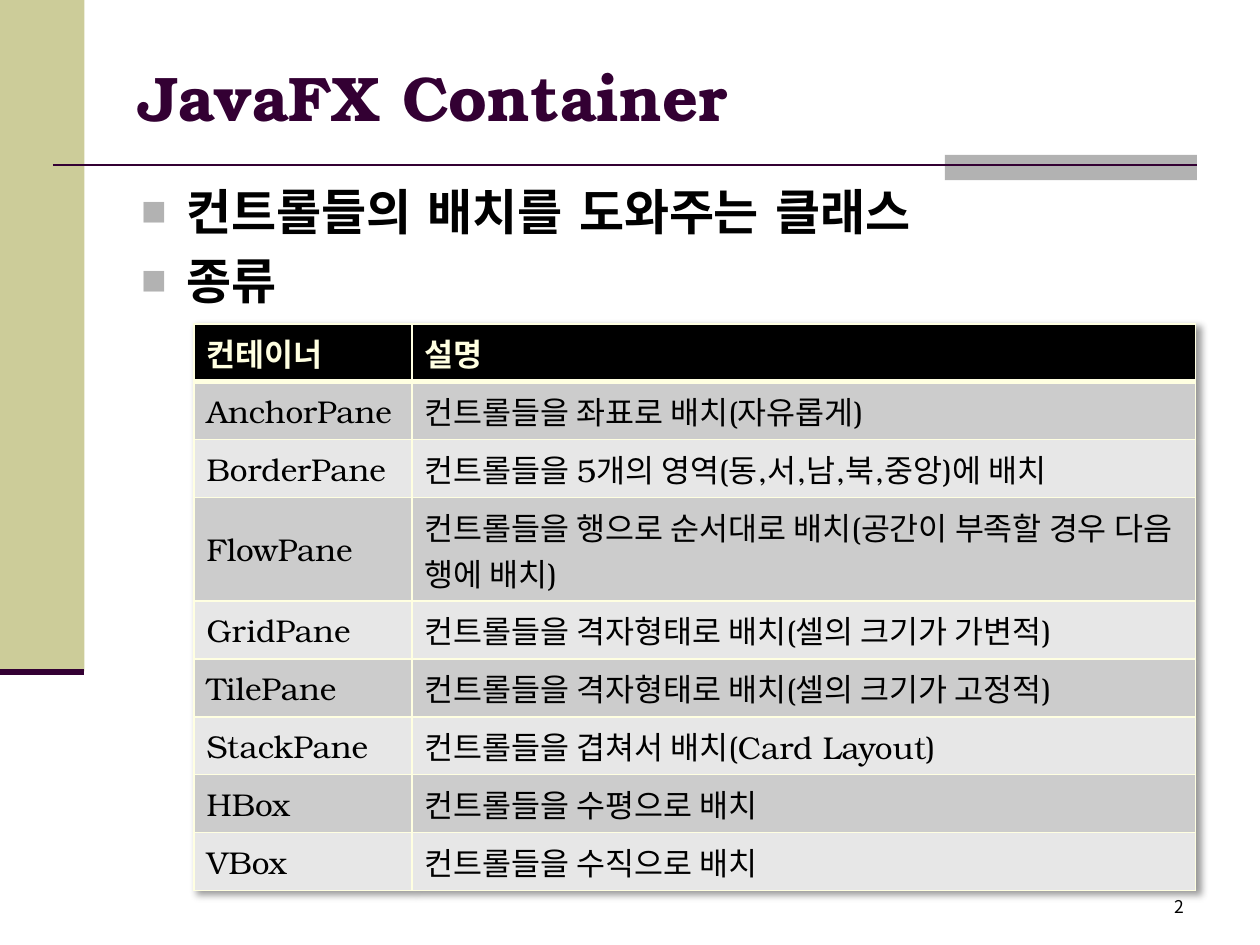
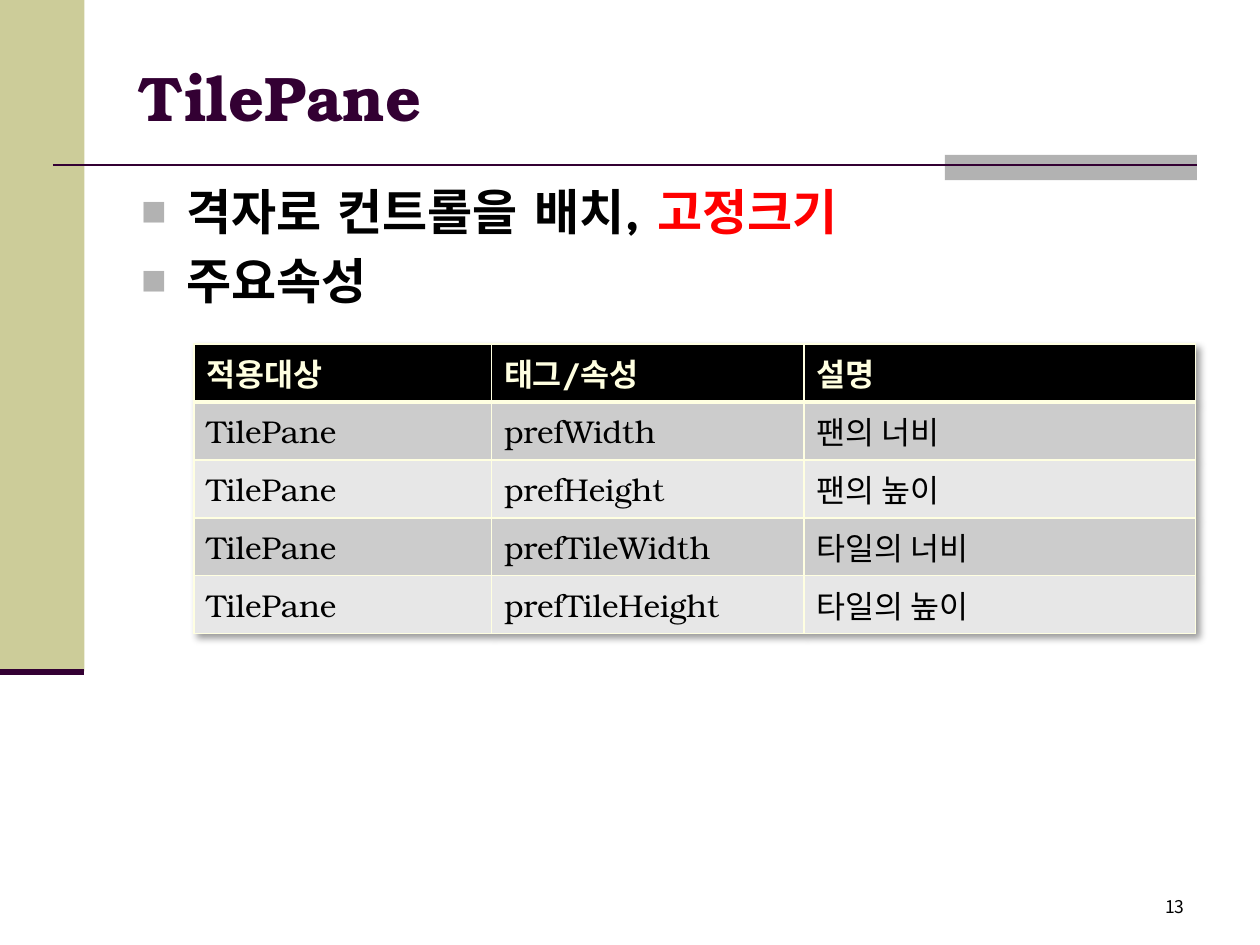
from lxml import etree
from pptx import Presentation
from pptx.dml.color import RGBColor
from pptx.enum.shapes import MSO_CONNECTOR, MSO_SHAPE
from pptx.enum.text import MSO_ANCHOR, MSO_AUTO_SIZE, PP_ALIGN
from pptx.oxml.ns import qn
from pptx.util import Inches, Pt

RECTANGLE = MSO_SHAPE.RECTANGLE
STRAIGHT = MSO_CONNECTOR.STRAIGHT
MIDDLE = MSO_ANCHOR.MIDDLE
NO_FIT = MSO_AUTO_SIZE.NONE
LEFT, RIGHT = PP_ALIGN.LEFT, PP_ALIGN.RIGHT

PLUM = RGBColor(0x33, 0x00, 0x33)
KHAKI = RGBColor(0xCC, 0xCC, 0x99)
GRAY = RGBColor(0xB2, 0xB2, 0xB2)
CREAM = RGBColor(0xFF, 0xFF, 0xE1)
DARK_ROW = RGBColor(0xCC, 0xCC, 0xCC)
LIGHT_ROW = RGBColor(0xE7, 0xE7, 0xE7)
BLACK = RGBColor(0x00, 0x00, 0x00)
RED = RGBColor(0xFF, 0x00, 0x00)

SERIF = "TeX Gyre Bonum"
SANS = "Noto Sans CJK KR"

TABLE_LEFT = 1.54
ROW_HEIGHT = 0.46
TWO_LINE_HEIGHT = 0.82

CONTAINERS = [
    ("컨테이너", "설명"),
    ("AnchorPane", "컨트롤들을 좌표로 배치(자유롭게)"),
    ("BorderPane", "컨트롤들을 5개의 영역(동,서,남,북,중앙)에 배치"),
    ("FlowPane", "컨트롤들을 행으로 순서대로 배치(공간이 부족할 경우 다음 행에 배치)"),
    ("GridPane", "컨트롤들을 격자형태로 배치(셀의 크기가 가변적)"),
    ("TilePane", "컨트롤들을 격자형태로 배치(셀의 크기가 고정적)"),
    ("StackPane", "컨트롤들을 겹쳐서 배치(Card Layout)"),
    ("HBox", "컨트롤들을 수평으로 배치"),
    ("VBox", "컨트롤들을 수직으로 배치"),
]
FLOW_PANE_ROW = 3
TILE_PROPERTIES = [
    ("적용대상", "태그/속성", "설명"),
    ("TilePane", "prefWidth", "팬의 너비"),
    ("TilePane", "prefHeight", "팬의 높이"),
    ("TilePane", "prefTileWidth", "타일의 너비"),
    ("TilePane", "prefTileHeight", "타일의 높이"),
]


def add_node(parent, tag, **attributes):
    return etree.SubElement(parent, qn(tag), **attributes)


def style_para(para, size, color, bold=False, font=SERIF, asian=SANS):
    para.font.name = font
    para.font.size = Pt(size)
    para.font.bold = bold
    para.font.color.rgb = color
    add_node(para.font._element, "a:ea", typeface=asian)


def place(shape, left, top, width, height):
    shape.left, shape.top = Inches(left), Inches(top)
    shape.width, shape.height = Inches(width), Inches(height)


def add_band(page, left, top, width, height, color):
    band = page.shapes.add_shape(RECTANGLE, Inches(left), Inches(top),
                                 Inches(width), Inches(height))
    band.shadow.inherit = False
    band.fill.solid()
    band.fill.fore_color.rgb = color
    band.line.fill.background()


def add_rule(page, left, right, y, weight):
    rule = page.shapes.add_connector(STRAIGHT, Inches(left), Inches(y),
                                     Inches(right), Inches(y))
    rule.line.color.rgb = PLUM
    rule.line.width = Pt(weight)
    add_node(rule._element.spPr, "a:effectLst")


def add_bullet(para):
    properties = para._p.get_or_add_pPr()
    properties.set("marL", str(Inches(0.38)))
    properties.set("indent", str(-Inches(0.38)))
    color = etree.Element(qn("a:buClr"))
    add_node(color, "a:srgbClr", val=str(GRAY))
    size = etree.Element(qn("a:buSzPct"), val="90000")
    font = etree.Element(qn("a:buFont"), typeface=SERIF)
    mark = etree.Element(qn("a:buChar"), char="■")
    defaults = properties.find(qn("a:defRPr"))
    for node in (color, size, font, mark):
        defaults.addprevious(node)


def add_page(deck, title, bullets, number):
    """Each bullet is a list of (text, color) spans."""
    page = deck.slides.add_slide(deck.slide_layouts[1])
    heading, body = page.placeholders

    # Side band, title rule and its accent
    add_band(page, 0, 0, 0.67, 5.33, KHAKI)
    add_band(page, 7.5, 1.23, 2, 0.2, GRAY)
    add_rule(page, 0.42, 9.5, 1.31, 1.5)
    add_rule(page, 0, 0.67, 5.33, 3.5)

    # Title and list, in front of the bands
    for box in (heading, body):
        page.shapes._spTree.append(box._element)
    place(heading, 1, 0.3, 8.5, 0.93)
    heading.text_frame.text = title
    heading.text_frame.vertical_anchor = MIDDLE
    heading.text_frame.auto_size = NO_FIT
    para = heading.text_frame.paragraphs[0]
    para.alignment = LEFT
    style_para(para, 36, PLUM, bold=True)

    place(body, 1, 1.39, 8.5, 5.59)
    frame = body.text_frame
    frame.auto_size = NO_FIT
    for index, spans in enumerate(bullets):
        para = frame.add_paragraph() if index else frame.paragraphs[0]
        style_para(para, 28, BLACK, bold=True, asian=SERIF)
        add_bullet(para)
        for text, color in spans:
            span = para.add_run()
            span.text = text
            if color != BLACK:
                span.font.color.rgb = color

    # Page number
    box = page.shapes.add_textbox(Inches(7.42), Inches(7.06), Inches(2.08), Inches(0.28))
    box.text_frame.word_wrap = True
    box.text_frame.text = str(number)
    para = box.text_frame.paragraphs[0]
    para.alignment = RIGHT
    style_para(para, 10, BLACK, font=SANS)
    return page


def add_border(cell, side, weight):
    line = add_node(cell._tc.get_or_add_tcPr(), "a:ln" + side, w=str(Pt(weight)))
    add_node(add_node(line, "a:solidFill"), "a:srgbClr", val=str(CREAM))


def add_table_shadow(table):
    effects = etree.Element(qn("a:effectLst"))
    shadow = add_node(effects, "a:outerShdw", blurRad=str(Pt(4)), dist=str(Pt(3)),
                      dir="2700000", algn="tl", rotWithShape="0")
    add_node(add_node(shadow, "a:prstClr", val="black"), "a:alpha", val="40000")
    table._tbl.tblPr.insert(0, effects)


def add_grid(page, top, widths, rows, two_line_rows=()):
    heights = [TWO_LINE_HEIGHT if r in two_line_rows else ROW_HEIGHT
               for r in range(len(rows))]
    frame = page.shapes.add_table(len(rows), len(widths), Inches(TABLE_LEFT), Inches(top),
                                  Inches(sum(widths)), Inches(sum(heights)))
    table = frame.table
    add_table_shadow(table)
    for column, width in zip(table.columns, widths):
        column.width = Inches(width)
    for r, texts in enumerate(rows):
        table.rows[r].height = Inches(heights[r])
        header = r == 0
        fill = BLACK if header else DARK_ROW if r % 2 else LIGHT_ROW
        weights = {"L": 1, "R": 1, "T": 3 if r == 1 else 1, "B": 3 if header else 1}
        for c, text in enumerate(texts):
            cell = table.cell(r, c)
            cell.text = text
            cell.vertical_anchor = MIDDLE
            style_para(cell.text_frame.paragraphs[0], 18,
                       CREAM if header else BLACK, bold=header)
            for side, weight in weights.items():
                add_border(cell, side, weight)
            cell.fill.solid()
            cell.fill.fore_color.rgb = fill


def main():
    deck = Presentation()
    deck.slide_width, deck.slide_height = Inches(10), Inches(7.5)

    page = add_page(deck, "JavaFX Container",
                    [[("컨트롤들의 배치를 도와주는 클래스", BLACK)], [("종류", BLACK)]], 2)
    add_grid(page, 2.57, [1.73, 6.22], CONTAINERS, two_line_rows=[FLOW_PANE_ROW])

    page = add_page(deck, "TilePane",
                    [[("격자로 컨트롤을 배치, ", BLACK), ("고정크기", RED)],
                     [("주요속성", BLACK)]], 13)
    add_grid(page, 2.73, [2.36, 2.48, 3.11], TILE_PROPERTIES)

    deck.save("out.pptx")


main()
